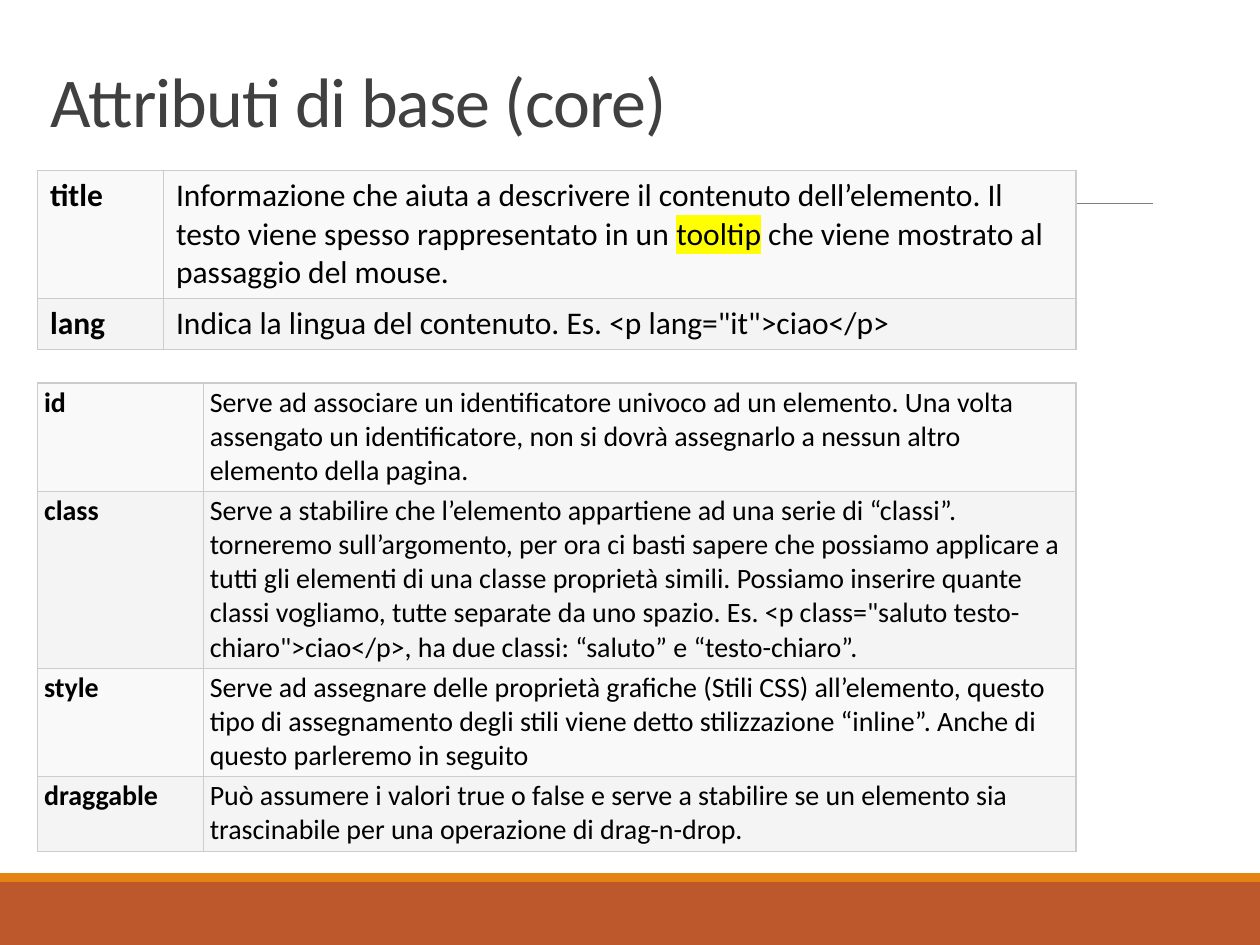
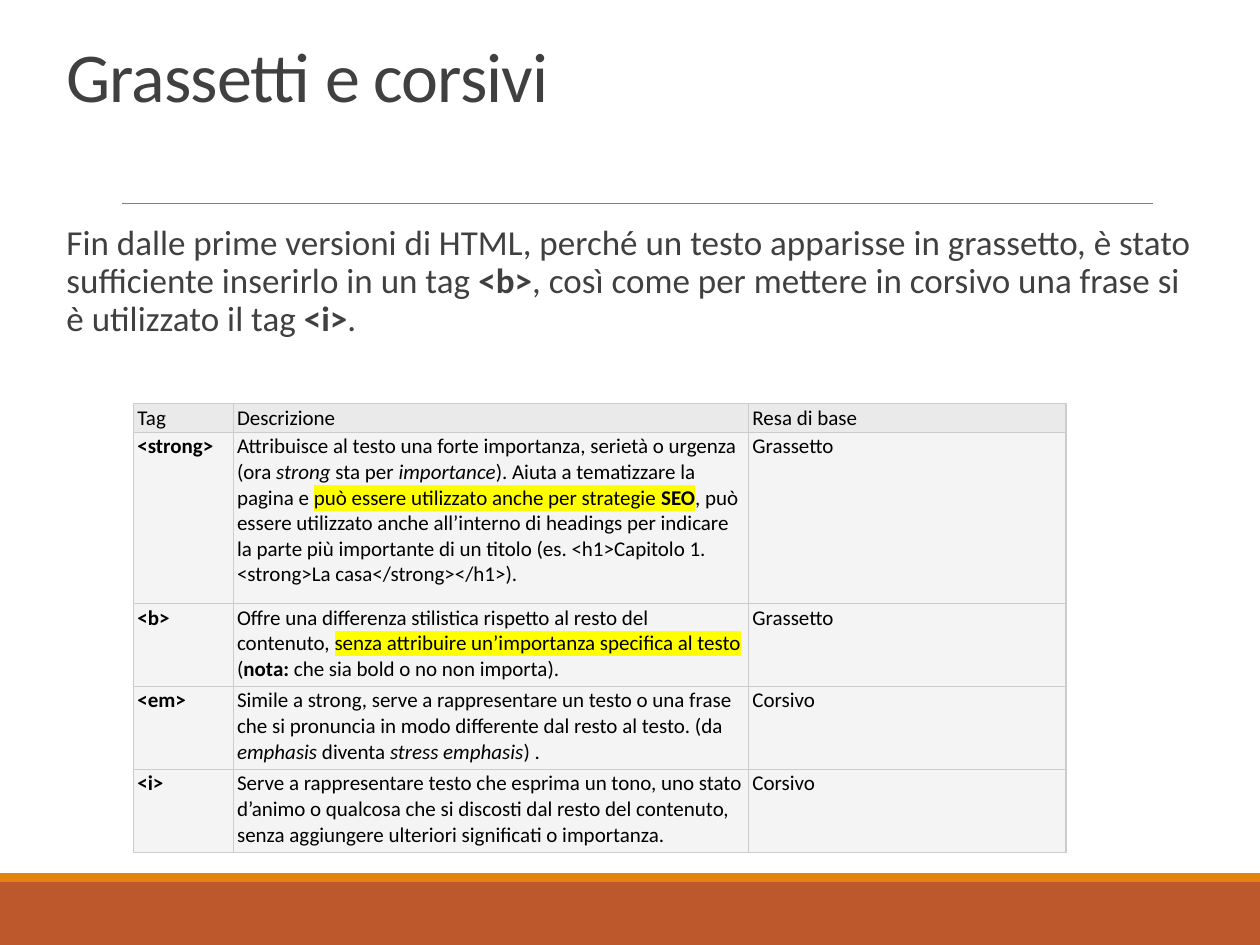
from lxml.etree import SubElement
from pptx import Presentation
from pptx.dml.color import RGBColor
from pptx.enum.shapes import MSO_CONNECTOR, MSO_SHAPE
from pptx.enum.text import MSO_ANCHOR, PP_ALIGN
from pptx.oxml.ns import qn
from pptx.util import Cm, Pt

FONT = "Calibri"
RUST = RGBColor(0xBD, 0x58, 0x2C)
ORANGE = RGBColor(0xE4, 0x83, 0x12)
RULE_GRAY = RGBColor(0x80, 0x80, 0x80)
BORDER_GRAY = RGBColor(0xCC, 0xCC, 0xCC)
TEXT_GRAY = RGBColor(0x40, 0x40, 0x40)
BLACK = RGBColor(0, 0, 0)
YELLOW = RGBColor(0xFF, 0xFF, 0)
HEADER_FILL = RGBColor(0xEA, 0xEA, 0xEA)
LIGHT_FILL = RGBColor(0xF9, 0xF9, 0xF9)
DARK_FILL = RGBColor(0xF4, 0xF4, 0xF4)

TITLE_AND_BODY, TITLE_ONLY = 1, 5
SLIDE_WIDTH, SLIDE_HEIGHT = 25.4, 19.05
BAND_TOP = 17.78
STRIPE_HEIGHT = 0.18

# A text is a plain string or a list of (text, style) pairs;
# the style letters are b = bold, i = italic, h = highlighted.
CORE_ATTRIBUTES = [
    [[("title", "b")],
     [("Informazione che aiuta a descrivere il contenuto dell’elemento. Il testo viene "
       "spesso rappresentato in un ", ""),
      ("tooltip", "h"),
      (" che viene mostrato al passaggio del mouse.", "")]],
    [[("lang", "b")],
     'Indica la lingua del contenuto. Es. <p lang="it">ciao</p>'],
]

OTHER_ATTRIBUTES = [
    [[("id", "b")],
     "Serve ad associare un identificatore univoco ad un elemento. Una volta assengato un "
     "identificatore, non si dovrà assegnarlo a nessun altro elemento della pagina."],
    [[("class", "b")],
     "Serve a stabilire che l’elemento appartiene ad una serie di “classi”. torneremo "
     "sull’argomento, per ora ci basti sapere che possiamo applicare a tutti gli elementi "
     "di una classe proprietà simili. Possiamo inserire quante classi vogliamo, tutte "
     'separate da uno spazio. Es. <p class="saluto testo-chiaro">ciao</p>, ha due classi: '
     "“saluto” e “testo-chiaro”."],
    [[("style", "b")],
     "Serve ad assegnare delle proprietà grafiche (Stili CSS) all’elemento, questo tipo di "
     "assegnamento degli stili viene detto stilizzazione “inline”. Anche di questo "
     "parleremo in seguito"],
    [[("draggable", "b")],
     "Può assumere i valori true o false e serve a stabilire se un elemento sia "
     "trascinabile per una operazione di drag-n-drop."],
]

EMPHASIS_INTRO = [
    ("Fin dalle prime versioni di HTML, perché un testo apparisse in grassetto, è stato "
     "sufficiente inserirlo in un tag ", ""),
    ("<b>", "b"),
    (", così come per mettere in corsivo una frase si è utilizzato il tag ", ""),
    ("<i>", "b"),
    (".", ""),
]

EMPHASIS_TAGS = [
    ["Tag", "Descrizione", "Resa di base"],
    [[("<strong>", "b")],
     [("Attribuisce al testo una forte importanza, serietà o urgenza (ora ", ""),
      ("strong", "i"),
      (" sta per ", ""),
      ("importance", "i"),
      ("). Aiuta a tematizzare la pagina e ", ""),
      ("può essere utilizzato anche per strategie ", "h"),
      ("SEO", "bh"),
      (", può essere utilizzato anche all’interno di headings per indicare la parte più "
       "importante di un titolo (es. <h1>Capitolo 1. <strong>La casa</strong></h1>).", "")],
     "Grassetto"],
    [[("<b>", "b")],
     [("Offre una differenza stilistica rispetto al resto del contenuto, ", ""),
      ("senza attribuire un’importanza specifica al testo ", "h"),
      ("(", ""),
      ("nota:", "b"),
      (" che sia bold o no non importa).", "")],
     "Grassetto"],
    [[("<em>", "b")],
     [("Simile a strong, serve a rappresentare un testo o una frase che si pronuncia in "
       "modo differente dal resto al testo. (da ", ""),
      ("emphasis", "i"),
      (" diventa ", ""),
      ("stress emphasis", "i"),
      (") .", "")],
     "Corsivo"],
    [[("<i>", "b")],
     "Serve a rappresentare testo che esprima un tono, uno stato d’animo o qualcosa che si "
     "discosti dal resto del contenuto, senza aggiungere ulteriori significati o importanza.",
     "Corsivo"],
]


def add_color(parent, tag, color):
    element = SubElement(parent, qn(tag))
    SubElement(element, qn("a:srgbClr"), val=str(color))
    return element


class Deck:
    def __init__(self):
        self.presentation = Presentation()
        self.presentation.slide_width = Cm(SLIDE_WIDTH)
        self.presentation.slide_height = Cm(SLIDE_HEIGHT)
        self.slide = None

    def new_slide(self, layout_index):
        layout = self.presentation.slide_layouts[layout_index]
        self.slide = self.presentation.slides.add_slide(layout)
        self.band(BAND_TOP, SLIDE_HEIGHT - BAND_TOP, RUST)
        self.band(BAND_TOP - STRIPE_HEIGHT, STRIPE_HEIGHT, ORANGE)
        self.rule(2.46, 23.24, 4.11)

    def band(self, top, height, color):
        shape = self.slide.shapes.add_shape(
            MSO_SHAPE.RECTANGLE, 0, Cm(top), Cm(SLIDE_WIDTH), Cm(height))
        shape.shadow.inherit = False
        shape.fill.solid()
        shape.fill.fore_color.rgb = color
        shape.line.fill.background()

    def rule(self, left, right, top):
        connector = self.slide.shapes.add_connector(
            MSO_CONNECTOR.STRAIGHT, Cm(left), Cm(top), Cm(right), Cm(top))
        connector.line.color.rgb = RULE_GRAY
        connector.line.width = Pt(0.5)
        SubElement(connector._element.spPr, qn("a:effectLst"))

    def add_runs(self, paragraph, text, size, color):
        pieces = [(text, "")] if isinstance(text, str) else text
        for piece, style in pieces:
            run = paragraph.add_run()
            run.text = piece
            font = run.font
            font.name, font.size = FONT, Pt(size)
            font.bold, font.italic = "b" in style, "i" in style
            font.color.rgb = color
            if "h" in style:
                properties = run._r.get_or_add_rPr()
                highlight = add_color(properties, "a:highlight", YELLOW)
                properties.find(qn("a:solidFill")).addnext(highlight)

    def place(self, placeholder, left, top, height):
        """Move a text placeholder and return its first paragraph, left aligned."""
        placeholder.left, placeholder.top = Cm(left), Cm(top)
        placeholder.width, placeholder.height = Cm(23.01), Cm(height)
        frame = placeholder.text_frame
        frame.word_wrap = True
        frame.vertical_anchor = MSO_ANCHOR.TOP
        paragraph = frame.paragraphs[0]
        paragraph.alignment = PP_ALIGN.LEFT
        return paragraph

    def title(self, text, left, top):
        paragraph = self.place(self.slide.shapes.title, left, top, 3.33)
        paragraph.line_spacing = 0.85
        self.add_runs(paragraph, text, 40, TEXT_GRAY)
        for run in paragraph.runs:
            run._r.get_or_add_rPr().set("spc", "-50")

    def body(self, text, left, top, height):
        placeholder = self.slide.placeholders[1]
        paragraph = self.place(placeholder, left, top, height)
        placeholder.text_frame.margin_left = placeholder.text_frame.margin_right = 0
        paragraph.line_spacing = 0.9
        paragraph.space_before = paragraph.space_after = Pt(2)
        properties = paragraph._p.get_or_add_pPr()
        properties.set("marL", str(Cm(0.25)))
        properties.set("indent", str(-Cm(0.25)))
        add_color(properties, "a:buClr", ORANGE)
        SubElement(properties, qn("a:buChar"), char=" ")
        self.add_runs(paragraph, text, 20, TEXT_GRAY)

    def table(self, rows, left, top, widths, heights, size, margins, fills):
        """Draw a bordered table; fills holds one colour per row."""
        frame = self.slide.shapes.add_table(
            len(rows), len(widths), Cm(left), Cm(top), Cm(sum(widths)), Cm(sum(heights)))
        table = frame.table
        table.first_row = table.horz_banding = False
        for column, width in zip(table.columns, widths):
            column.width = Cm(width)
        for row, height, texts, fill in zip(table.rows, heights, rows, fills):
            row.height = Cm(height)
            for cell, text in zip(row.cells, texts):
                self.cell(cell, text, size, margins, fill)

    def cell(self, cell, text, size, margins, fill):
        side, edge = margins
        cell.margin_left = cell.margin_right = Cm(side)
        cell.margin_top = cell.margin_bottom = Cm(edge)
        header = fill == HEADER_FILL
        cell.vertical_anchor = MSO_ANCHOR.MIDDLE if header else MSO_ANCHOR.TOP
        properties = cell._tc.get_or_add_tcPr()
        for border in ("a:lnL", "a:lnR", "a:lnT", "a:lnB"):
            line = SubElement(properties, qn(border), w=str(Pt(0.75)))
            add_color(line, "a:solidFill", BORDER_GRAY)
        cell.fill.solid()
        cell.fill.fore_color.rgb = fill
        self.add_runs(cell.text_frame.paragraphs[0], text, size, BLACK)


def main():
    deck = Deck()

    deck.new_slide(TITLE_ONLY)
    deck.title("Attributi di base (core)", 0.76, 1.3)
    deck.table(CORE_ATTRIBUTES, 0.76, 3.43, [2.54, 18.39], [2.58, 1.03],
               18, (0.25, 0.13), [LIGHT_FILL, DARK_FILL])
    deck.table(OTHER_ATTRIBUTES, 0.76, 7.72, [3.34, 17.59], [2.18, 3.57, 2.18, 1.51],
               16, (0.13, 0.05), [LIGHT_FILL, DARK_FILL] * 2)

    deck.new_slide(TITLE_AND_BODY)
    deck.title("Grassetti e corsivi", 1.09, 0.79)
    deck.body(EMPHASIS_INTRO, 1.09, 4.42, 12.52)
    deck.table(EMPHASIS_TAGS, 2.69, 8.13, [2.01, 10.39, 6.4], [0.59, 3.45] + [1.67] * 3,
               12, (0.08, 0.03), [HEADER_FILL] + [DARK_FILL] * 4)

    deck.presentation.save("out.pptx")


if __name__ == "__main__":
    main()
